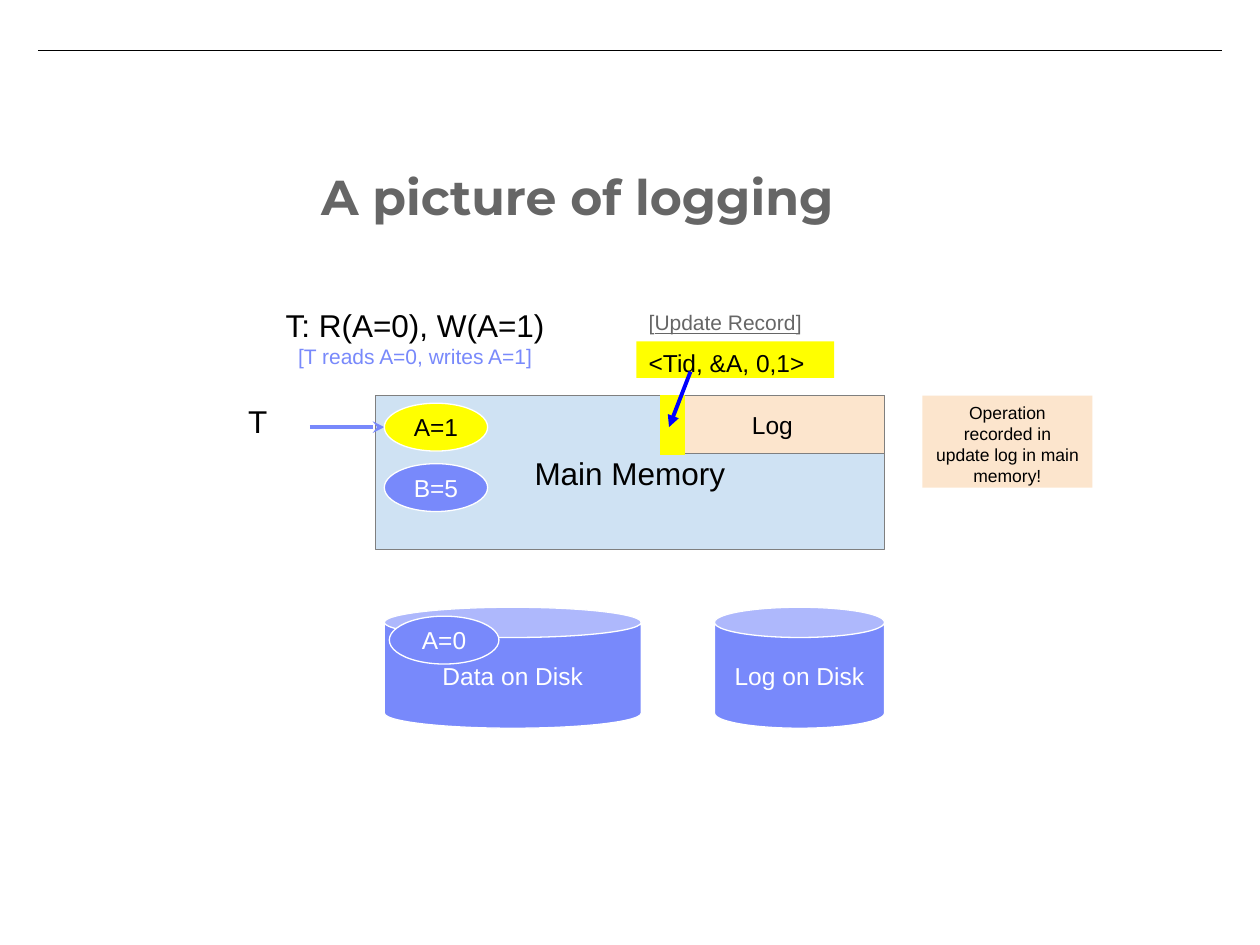
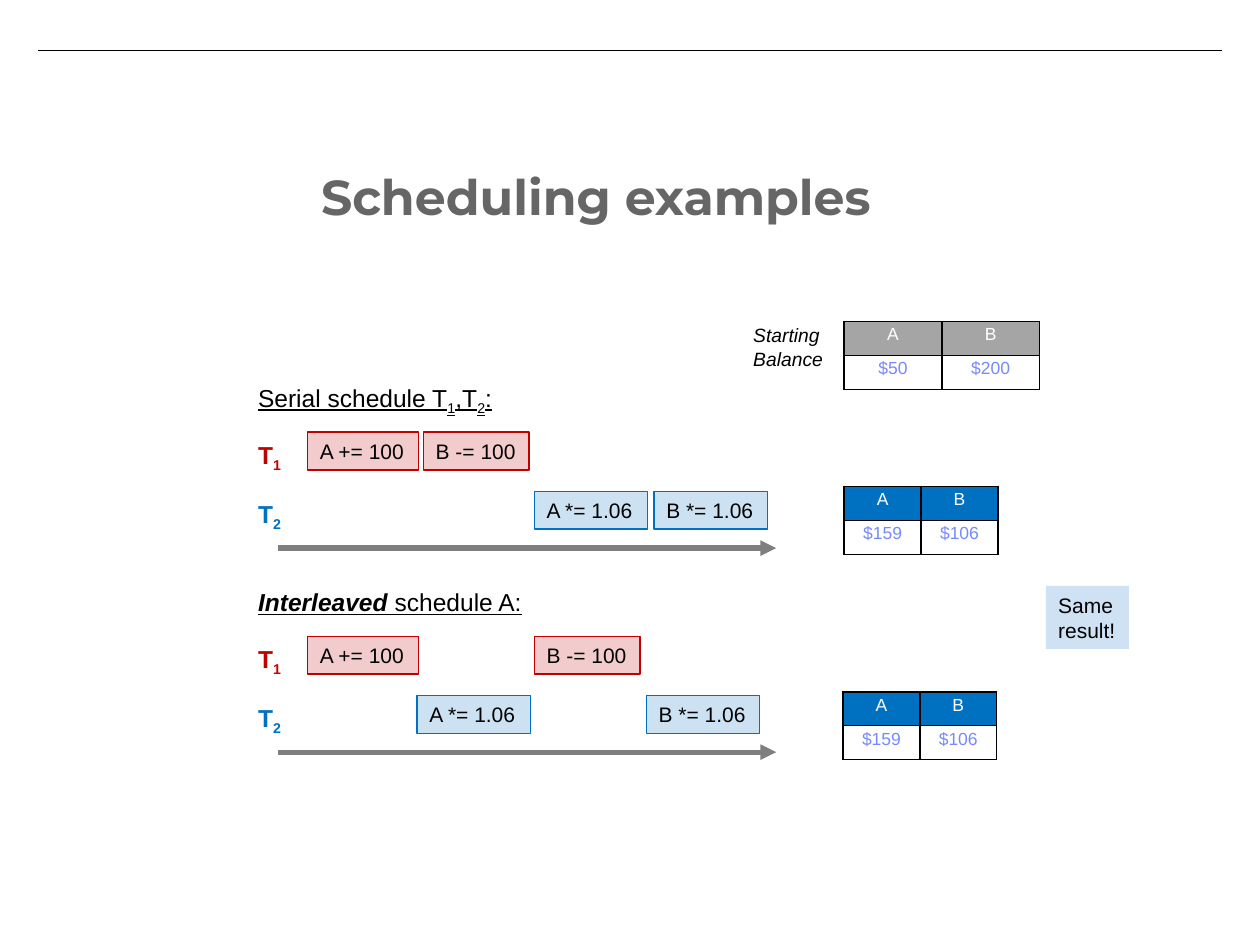
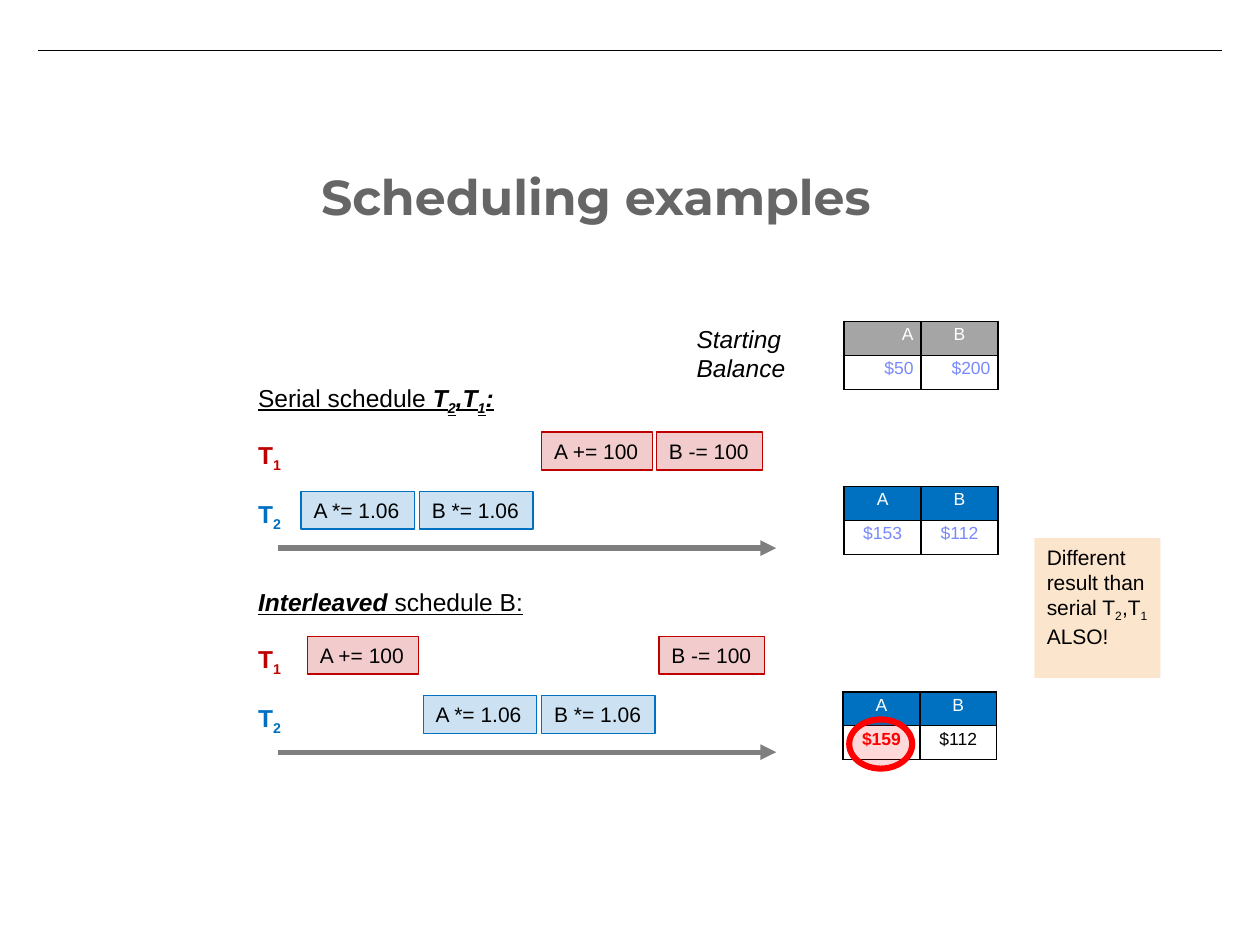
from lxml.etree import SubElement
from pptx import Presentation
from pptx.dml.color import RGBColor
from pptx.enum.shapes import MSO_CONNECTOR as Connector, MSO_SHAPE as Shape
from pptx.enum.text import MSO_ANCHOR as Anchor, PP_ALIGN as Align
from pptx.oxml.ns import qn
from pptx.util import Inches, Pt

# Slide grid: 100 columns by 75 rows of square cells
WIDTH, HEIGHT = Inches(10), Inches(7.5)
COLUMNS, ROWS = 100, 75

BODY_FONT, TITLE_FONT = "Arial", "Montserrat"
BLACK, WHITE, GREY, MID_GREY = "000000", "FFFFFF", "666666", "7F7F7F"
PERIWINKLE, PALE_BLUE, PEACH = "7889FB", "CFE2F3", "FCE5CD"
YELLOW, ARROW_BLUE, ALERT_RED = "FFFF00", "0000FF", "FF0000"
CRIMSON, BLUE, HEADER_GREY = "C00000", "0070C0", "A5A5A5"

# Each transaction: number, colour, operations with their widths
TRANSACTIONS = (
    ("1", CRIMSON, (("A += 100", 8.8), ("B -= 100", 8.4))),
    ("2", BLUE, (("A *= 1.06", 9), ("B *= 1.06", 9))),
)
SCHEDULE_TOPS = (29.9, 46.1)
LANE_STEP = 4.7


def color(value):
    return RGBColor.from_string(value)


def across(columns):
    return round(WIDTH * columns / COLUMNS)


def down(rows):
    return round(HEIGHT * rows / ROWS)


def place(left, top, width, height):
    return across(left), down(top), across(width), down(height)


def set_font(font, size, ink, name=BODY_FONT, bold=False):
    font.name, font.size, font.bold = name, Pt(size), bold
    font.color.rgb = color(ink)


def add_span(para, text, style=""):
    """Style letters: b bold, i italic, u underlined, s subscript."""
    span = para.add_run()
    span.text = text
    for letter, attribute in (("b", "bold"), ("i", "italic"), ("u", "underline")):
        if letter in style:
            setattr(span.font, attribute, True)
    if "s" in style:
        span._r.get_or_add_rPr().set("baseline", "-25000")


def write(para, spans, size, ink, align=Align.LEFT, **font):
    """Spans are one plain string or (text, style) pairs."""
    para.alignment = align
    set_font(para.font, size, ink, **font)
    for text, style in [(spans, "")] if isinstance(spans, str) else spans:
        add_span(para, text, style)


def set_margins(target, side, end):
    target.margin_left = target.margin_right = Inches(side)
    target.margin_top = target.margin_bottom = Inches(end)


def add_text(page, area, spans, size, ink=BLACK, inset=0.05, **style):
    frame = page.shapes.add_textbox(*place(*area)).text_frame
    frame.word_wrap = True
    set_margins(frame, 0.1, inset)
    write(frame.paragraphs[0], spans, size, ink, **style)
    return frame


def add_box(page, kind, area, fill, line=None, weight=0.75, opacity=None,
            spans=None, size=14, ink=BLACK, align=Align.CENTER, anchor=Anchor.MIDDLE):
    box = page.shapes.add_shape(kind, *place(*area))
    box.shadow.inherit = False
    box.fill.solid()
    box.fill.fore_color.rgb = color(fill)
    if opacity:
        tint = box.fill._xPr.find(".//" + qn("a:srgbClr"))
        SubElement(tint, qn("a:alpha"), val=str(opacity * 1000))
    if line:
        box.line.color.rgb = color(line)
        box.line.width = Pt(weight)
    else:
        box.line.fill.background()
    if spans:
        frame = box.text_frame
        frame.word_wrap = True
        frame.vertical_anchor = anchor
        set_margins(frame, 0.1, 0.05)
        write(frame.paragraphs[0], spans, size, ink, align)
    return box


def add_line(page, start, end, ink, weight, head=None):
    line = page.shapes.add_connector(
        Connector.STRAIGHT, across(start[0]), down(start[1]), across(end[0]), down(end[1]))
    line.line.color.rgb = color(ink)
    line.line.width = Pt(weight)
    if head:
        SubElement(line.line._get_or_add_ln(), qn("a:tailEnd"), type=head)
    SubElement(line._element.spPr, qn("a:effectLst"))


def add_borders(cell):
    properties = cell._tc.get_or_add_tcPr()
    for side in ("lnL", "lnR", "lnT", "lnB"):
        border = SubElement(properties, qn("a:" + side), w=str(Pt(1)))
        SubElement(SubElement(border, qn("a:solidFill")), qn("a:srgbClr"), val=BLACK)


def add_balance(page, left, top, amounts, header=BLUE, column=6.1,
                inks=(PERIWINKLE, PERIWINKLE), aligns=(Align.CENTER,) * 4, bold_first=False):
    """Two by two table of the balances of A and B."""
    row_height = 2.7
    table = page.shapes.add_table(
        2, 2, *place(left, top, 2 * column, 2 * row_height)).table
    table.first_row = table.horz_banding = False
    texts, colors = ("A", "B", *amounts), (WHITE, WHITE, *inks)
    for index, (text, ink, align) in enumerate(zip(texts, colors, aligns)):
        row, col = divmod(index, 2)
        cell = table.cell(row, col)
        add_borders(cell)
        if row == 0:
            cell.fill.solid()
            cell.fill.fore_color.rgb = color(header)
        else:
            cell.fill.background()
        set_margins(cell, 0.06, 0.03)
        write(cell.text_frame.paragraphs[0], text, 10, ink, align,
              bold=bold_first and index == 2)


def add_schedule(page, top, heading, starts):
    """Heading, one lane per transaction and the time arrow."""
    add_line(page, (22.1, top + 13.6), (61.6, top + 13.6), MID_GREY, 3, "triangle")
    for lane, ((number, ink, operations), lefts) in enumerate(zip(TRANSACTIONS, starts)):
        lane_top = top + 4.4 + lane * LANE_STEP
        add_text(page, (19.5, lane_top + 0.1, 3.9, 3.4),
                 [("T", ""), (number, "s")], 14, ink, bold=True)
        for (operation, width), left in zip(operations, lefts):
            add_box(page, Shape.RECTANGLE, (left, lane_top, width, 3), ink, ink,
                    opacity=20, spans=operation, size=12,
                    align=Align.LEFT, anchor=Anchor.TOP)
    add_text(page, (19.5, top, 23.1, 3.4), heading, 14)


def add_note(page, area, fill, spans, size=12, align=Align.LEFT):
    add_box(page, Shape.RECTANGLE, area, fill, spans=spans, size=size,
            align=align, anchor=Anchor.TOP)


def new_page(deck, title):
    """Blank page with the top rule and the title."""
    page = deck.slides.add_slide(deck.slide_layouts[6])
    add_line(page, (3, 4), (97, 4), BLACK, 0.75)
    add_text(page, (24.5, 12.2, 73, 7.3), title, 28, GREY, inset=0.1,
             name=TITLE_FONT, bold=True)
    return page


def build_logging(deck):
    page = new_page(deck, "A picture of logging")

    # Disks and main memory
    for left, width, label in ((30.5, 20.4, "Data on Disk"), (56.7, 13.5, "Log on Disk")):
        disk = add_box(page, Shape.CAN, (left, 48.2, width, 9.6), PERIWINKLE, WHITE,
                       spans=label, ink=WHITE)
        disk.adjustments[0] = 0.25
    add_box(page, Shape.RECTANGLE, (29.8, 31.4, 40.4, 12.2), PALE_BLUE, MID_GREY,
            spans="Main Memory", size=18)
    add_box(page, Shape.RECTANGLE, (52.4, 31.4, 17.8, 4.6), PEACH, MID_GREY, spans="Log")

    # Transaction and the values it touches
    add_text(page, (16, 31.4, 8.9, 4), "T", 18, align=Align.CENTER)
    add_line(page, (24.6, 33.9), (30.5, 33.9), PERIWINKLE, 2.25, "stealth")
    for left, top, width, label, fill, ink in (
            (30.5, 36.8, 8.2, "B=5", PERIWINKLE, WHITE),
            (30.9, 48.9, 8.7, "A=0", PERIWINKLE, WHITE),
            (30.5, 32, 8.2, "A=1", YELLOW, BLACK)):
        add_box(page, Shape.OVAL, (left, top, width, 3.8), fill, WHITE,
                spans=label, ink=ink)
    frame = add_text(page, (13.5, 23.8, 38.9, 7.2), "T: R(A=0), W(A=1)", 18,
                     align=Align.CENTER)
    write(frame.add_paragraph(), "[T reads A=0, writes A=1]", 12, PERIWINKLE, Align.CENTER)

    # Update record going into the log
    add_note(page, (50.5, 27.1, 15.7, 2.9), YELLOW, "<Tid, &A, 0,1>", 14)
    add_box(page, Shape.RECTANGLE, (52.4, 31.4, 1.9, 4.7), YELLOW, YELLOW)
    add_note(page, (73.2, 31.4, 13.5, 7.3), PEACH,
             "Operation recorded in update log in main memory!", 10, Align.CENTER)
    add_text(page, (50.5, 24.1, 17.8, 2.9),
             [("[", ""), ("Update Record", "u"), ("]", "")], 12, GREY)
    add_line(page, (54.8, 29.5), (53.1, 33.9), ARROW_BLUE, 2.25, "triangle")


def build_same_result(deck):
    page = new_page(deck, "Scheduling examples")
    serial, interleaved = SCHEDULE_TOPS
    add_schedule(page, serial,
                 [("Serial schedule T", "u"), ("1", "us"), (",T", "u"), ("2", "us"), (":", "u")],
                 ((24.4, 33.6), (42.4, 51.9)))
    add_schedule(page, interleaved, [("Interleaved ", "biu"), ("schedule A:", "u")],
                 ((24.4, 42.4), (33.1, 51.3)))

    # Balances
    add_text(page, (58.8, 25.2, 7.7, 4.7), [("Starting Balance", "i")], 11)
    add_balance(page, 67, 25.5, ("$50", "$200"), HEADER_GREY, column=7.75)
    add_balance(page, 67, 38.6, ("$159", "$106"))
    add_balance(page, 66.9, 54.9, ("$159", "$106"))
    add_note(page, (83, 46.5, 6.6, 5), PALE_BLUE, "Same result!")


def build_different_result(deck):
    page = new_page(deck, "Scheduling examples")
    serial, interleaved = SCHEDULE_TOPS
    add_schedule(page, serial,
                 [("Serial schedule ", "u"), ("T", "biu"), ("2", "bius"), (",T", "biu"),
                  ("1", "bius"), (":", "biu")],
                 ((43, 52.1), (23.9, 33.3)))
    add_schedule(page, interleaved, [("Interleaved ", "biu"), ("schedule B:", "u")],
                 ((24.4, 52.3), (33.6, 43)))

    # Balances, with the wrong one circled
    add_text(page, (54.3, 25.2, 12.2, 10.7), [("Starting Balance", "i")], 14)
    add_balance(page, 67, 25.5, ("$50", "$200"), HEADER_GREY,
                aligns=(Align.RIGHT, Align.CENTER, Align.RIGHT, Align.RIGHT))
    add_balance(page, 67, 38.6, ("$153", "$112"))
    add_balance(page, 66.9, 54.9, ("$159", "$112"), inks=(ALERT_RED, BLACK), bold_first=True)
    add_note(page, (82.1, 42.7, 10, 11.1), PEACH,
             [("Different result than serial T", ""), ("2", "s"), (",T", ""), ("1", "s"),
              (" ALSO!", "")])
    add_box(page, Shape.OVAL, (67.4, 57.1, 5, 3.9), ALERT_RED, ALERT_RED,
            weight=3.5, opacity=15)


def main():
    deck = Presentation()
    deck.slide_width, deck.slide_height = WIDTH, HEIGHT
    build_logging(deck)
    build_same_result(deck)
    build_different_result(deck)
    deck.save("out.pptx")


if __name__ == "__main__":
    main()
